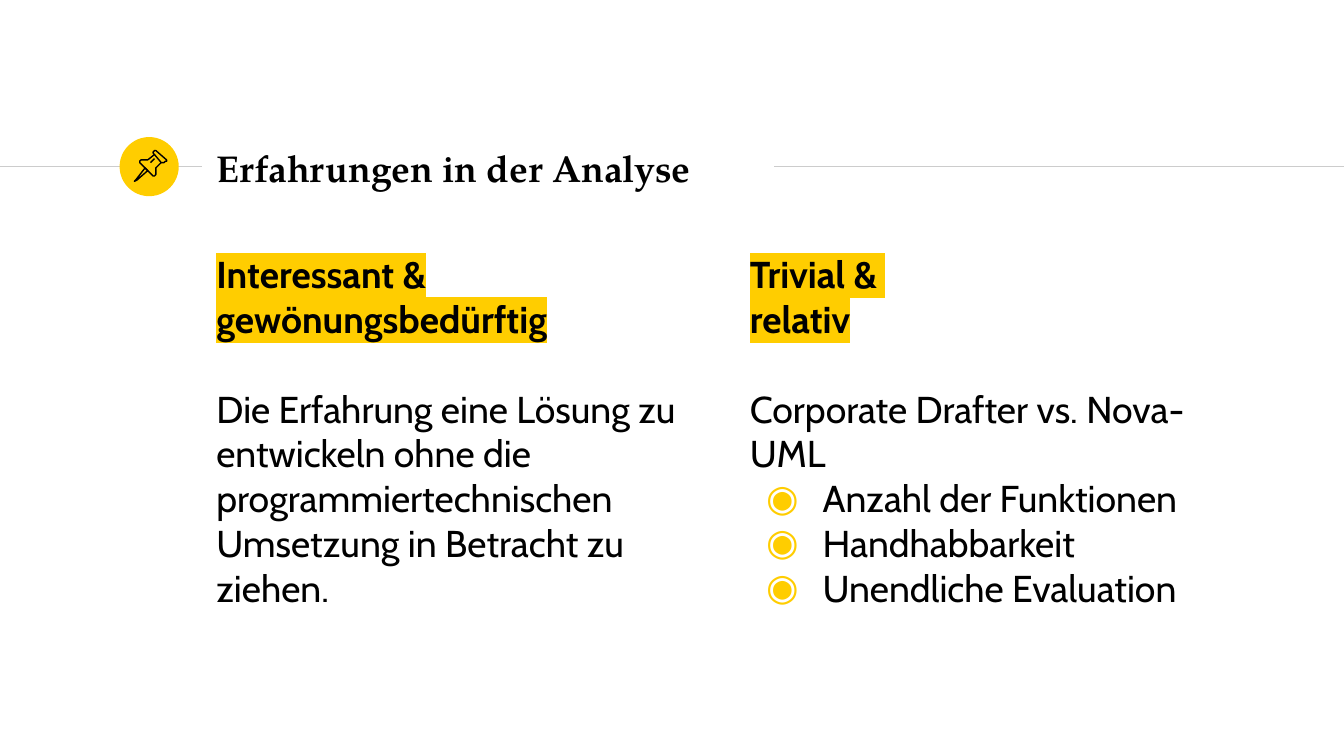
import pptx
import pptx.dml.color
import pptx.enum.shapes
import pptx.enum.text
import pptx.oxml
import pptx.oxml.ns
import pptx.util
from pptx.util import Inches

YELLOW, BLACK, GREY = "FFCD00", "000000", "CCCCCC"
NS = pptx.oxml.ns.nsdecls("a")


def rgb(value):
    return pptx.dml.color.RGBColor.from_string(value)


def add_run(p, text, font, bold):
    r = p.add_run()
    r.text = text
    r.font.name = font
    r.font.size = pptx.util.Pt(20)
    r.font.bold = bold
    r.font.color.rgb = rgb(BLACK)
    return r


# Widescreen, 16:9
prs = pptx.Presentation()
prs.slide_width = Inches(10)
prs.slide_height = Inches(10) * 9 // 16
s = prs.slides.add_slide(prs.slide_layouts[3])
title, left, right = s.placeholders

# Rule on both sides of the title, with the icon disc on it
for x1, x2 in [(0, 1.5), (5.76, 10)]:
    line = s.shapes.add_connector(
        pptx.enum.shapes.MSO_CONNECTOR.STRAIGHT,
        Inches(x1), Inches(1.24), Inches(x2), Inches(1.24))
    line.line.color.rgb = rgb(GREY)
    line.line.width = pptx.util.Pt(0.75)
    line._element.spPr.append(pptx.oxml.parse_xml(f"<a:effectLst {NS}/>"))

disc = s.shapes.add_shape(
    pptx.enum.shapes.MSO_SHAPE.OVAL,
    Inches(0.89), Inches(1.02), Inches(0.44), Inches(0.44))
disc.shadow.inherit = False
disc.fill.solid()
disc.fill.fore_color.rgb = rgb(YELLOW)
disc.line.fill.background()

# Pushpin outlines in hundredths of an inch: needle, cap, body, highlight
pin = [
    ([(108, 125), (101, 134), (100, 135), (102, 134), (110, 127)], True),
    ([(115, 115), (120, 121), (122, 121), (123, 120), (124, 120), (124, 119),
      (116, 112), (115, 112), (114, 113), (114, 114)], True),
    ([(115, 115), (110, 119), (107, 119), (105, 119), (104, 120), (104, 121),
      (114, 131), (115, 131), (116, 130), (116, 125), (120, 121)], False),
    ([(112, 121), (115, 118)], False),
]
for points, closed in pin:
    builder = s.shapes.build_freeform(*points[0], scale=Inches(0.01))
    builder.add_line_segments(points[1:], close=closed)
    sp = builder.convert_to_shape()
    sp.shadow.inherit = False
    sp.fill.background()
    sp.line.color.rgb = rgb(BLACK)
    sp.line.width = pptx.util.Pt(0.75)

# Placeholders
for sp, box, anchor in [
    (title, (1.51, 1.01, 4.24, 0.48), pptx.enum.text.MSO_ANCHOR.MIDDLE),
    (left, (1.51, 1.77, 3.75, 3.53), pptx.enum.text.MSO_ANCHOR.TOP),
    (right, (5.48, 1.77, 3.75, 3.53), pptx.enum.text.MSO_ANCHOR.TOP),
]:
    sp.left, sp.top, sp.width, sp.height = map(Inches, box)
    tf = sp.text_frame
    tf.word_wrap = True
    tf.auto_size = pptx.enum.text.MSO_AUTO_SIZE.NONE
    tf.vertical_anchor = anchor
    tf.margin_left = tf.margin_right = Inches(0.1)
    tf.margin_top = tf.margin_bottom = Inches(0.1)

p = title.text_frame.paragraphs[0]
p.alignment = pptx.enum.text.PP_ALIGN.LEFT
add_run(p, "Erfahrungen in der Analyse", "TeX Gyre Pagella", True)

columns = [
    (left, [
        ("heading", "Interessant & gewönungsbedürftig"),
        ("text", "Die Erfahrung eine Lösung zu entwickeln ohne die "
                 "programmiertechnischen Umsetzung in Betracht zu ziehen."),
    ]),
    (right, [
        ("heading", "Trivial & "),
        ("heading", "relativ"),
        ("text", "Corporate Drafter vs. Nova-UML"),
        ("bullet", "Anzahl der Funktionen"),
        ("bullet", "Handhabbarkeit"),
        ("bullet", "Unendliche Evaluation"),
    ]),
]
for sp, entries in columns:
    tf = sp.text_frame
    for i, (kind, text) in enumerate(entries):
        p = tf.add_paragraph() if i else tf.paragraphs[0]
        p.space_before = pptx.util.Pt(24 if kind == "text" else 0)
        r = add_run(p, text, "Cabin", kind == "heading")
        if kind == "heading":
            fill = r._r.rPr.find(pptx.oxml.ns.qn("a:solidFill"))
            fill.addnext(pptx.oxml.parse_xml(
                f'<a:highlight {NS}><a:srgbClr val="{YELLOW}"/></a:highlight>'))
        pPr = p._p.get_or_add_pPr()
        if kind == "bullet":
            margin, indent = Inches(0.54), Inches(-0.42)
            marks = [f'<a:buClr {NS}><a:srgbClr val="{YELLOW}"/></a:buClr>',
                     f'<a:buFont {NS} typeface="Cabin"/>',
                     f'<a:buChar {NS} char="◉"/>']
        else:
            margin, indent = 0, 0
            marks = [f"<a:buNone {NS}/>"]
        pPr.set("marL", str(margin))
        pPr.set("indent", str(indent))
        for mark in marks:
            pPr.append(pptx.oxml.parse_xml(mark))

prs.save("out.pptx")
